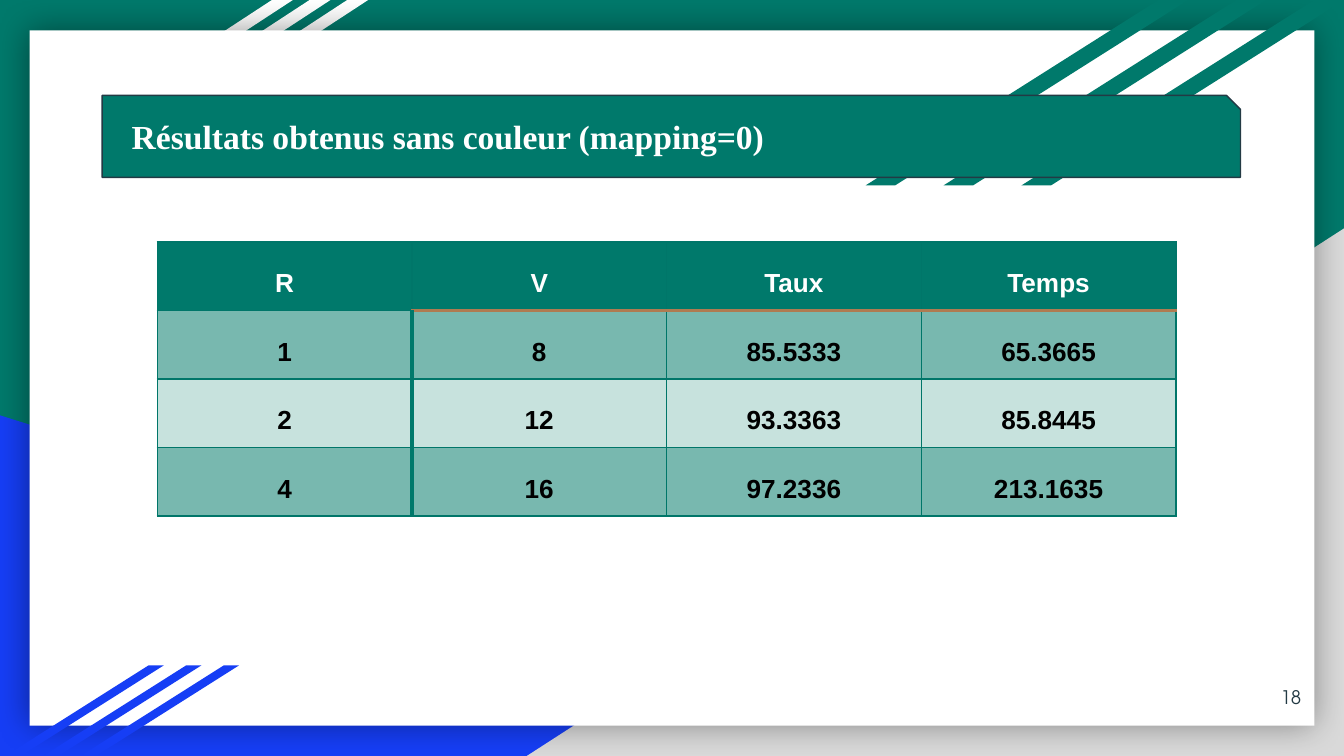
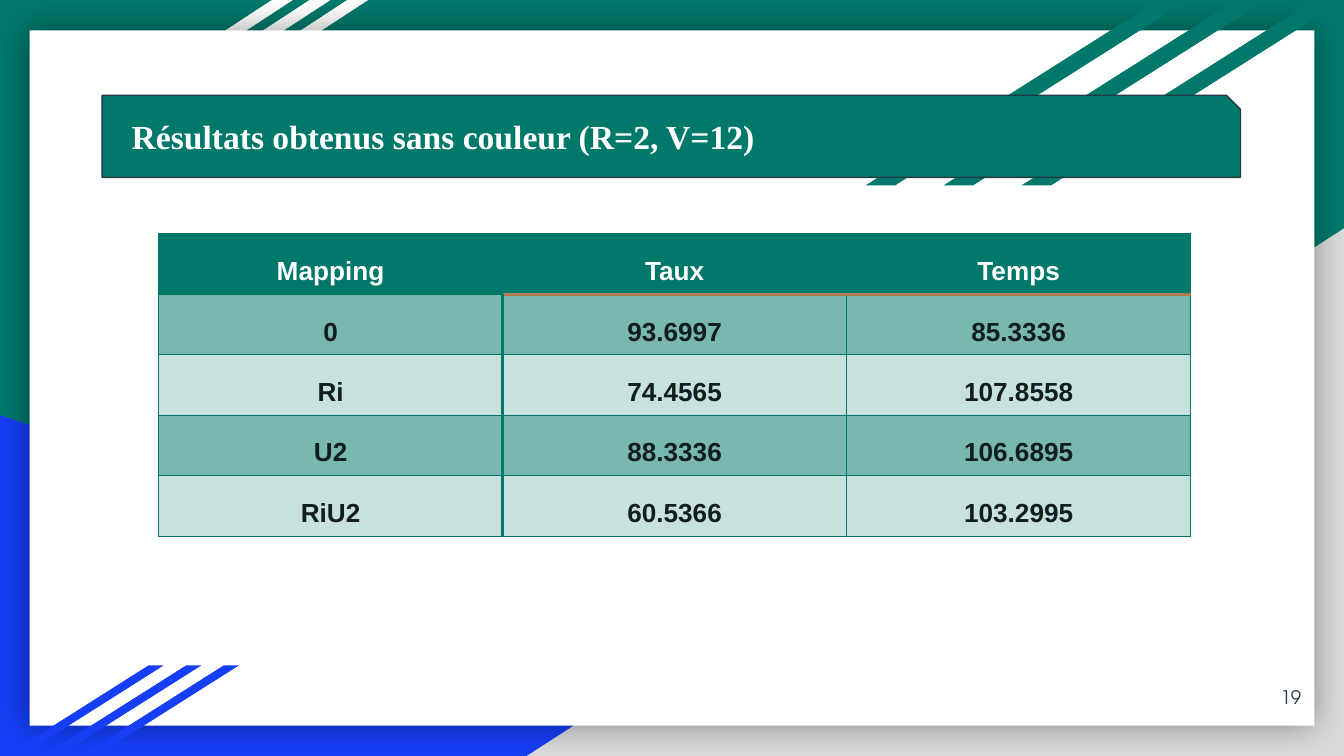
"""Two result slides with a striped frame, a title band and a formatted table."""
from dataclasses import dataclass

from lxml import etree
from pptx import Presentation
from pptx.dml.color import RGBColor
from pptx.enum.shapes import MSO_SHAPE
from pptx.enum.text import MSO_ANCHOR, MSO_AUTO_SIZE, PP_ALIGN
from pptx.oxml.ns import qn
from pptx.util import Inches, Pt

RECTANGLE = MSO_SHAPE.RECTANGLE
TRIANGLE = MSO_SHAPE.RIGHT_TRIANGLE
STRIPE = MSO_SHAPE.PARALLELOGRAM
SNIPPED = MSO_SHAPE.SNIP_1_RECTANGLE
MIDDLE = MSO_ANCHOR.MIDDLE
NO_FIT = MSO_AUTO_SIZE.NONE
LEFT, CENTER, RIGHT = PP_ALIGN.LEFT, PP_ALIGN.CENTER, PP_ALIGN.RIGHT
TITLE_ONLY = 5
GRID_COLUMNS = 100


@dataclass(frozen=True)
class Theme:
    green: str = "00796B"
    blue: str = "163EF5"
    grey: str = "D9D9D9"
    white: str = "FFFFFF"
    ink: str = "233A44"
    shadow: str = "000000"
    border: str = "007669"
    accent: str = "AF7B51"
    dark_row: str = "78B8AF"
    light_row: str = "C7E2DD"
    title_font: str = "Times New Roman"
    table_font: str = "Arial"
    number_font: str = "TeX Gyre Adventor"
    title_size: float = 18
    table_size: float = 14
    number_size: float = 10
    thin: float = 0.75
    thick: float = 2


def apply(target, values):
    """Set each attribute of the target from a dict."""
    for attribute, value in values.items():
        setattr(target, attribute, value)


class Deck:
    """Holds the theme, the grid and the current slide."""

    def __init__(self, theme):
        self.theme = theme
        self.deck = Presentation()
        self.deck.slide_width = Inches(10)
        self.deck.slide_height = Inches(5.625)
        self.layout = self.deck.slide_layouts[TITLE_ONLY]
        self.slide = None

    def grid(self, *lengths):
        """Turn grid units, one hundredth of the slide width each, into lengths."""
        return [round(n * self.deck.slide_width / GRID_COLUMNS) for n in lengths]

    def new_slide(self):
        self.slide = self.deck.slides.add_slide(self.layout)

    def shape(self, kind, box, fill, adjust=None, line=None):
        figure = self.slide.shapes.add_shape(kind, *self.grid(*box))
        figure.shadow.inherit = False
        figure.fill.solid()
        figure.fill.fore_color.rgb = RGBColor.from_string(fill)
        if line:
            figure.line.color.rgb = RGBColor.from_string(line)
            figure.line.width = Pt(self.theme.thin)
        else:
            figure.line.fill.background()
        if adjust:
            figure.adjustments[0] = adjust
        return figure

    def stripes(self, box, step, fill, adjust):
        left, *rest = box
        return [self.shape(STRIPE, (left - i * step, *rest), fill, adjust)
                for i in range(3)]

    def sheet(self, box):
        page = self.shape(RECTANGLE, box, self.theme.white)
        effects = page.element.spPr.find(qn("a:effectLst"))
        glow = etree.SubElement(effects, qn("a:outerShdw"),
                                blurRad=str(Pt(18)), dist="0", algn="ctr")
        color = etree.SubElement(glow, qn("a:srgbClr"), val=self.theme.shadow)
        etree.SubElement(color, qn("a:alpha"), val="40000")
        return page

    def decorate_layout(self):
        """Draw the shared frame and hand it to the layout."""
        theme = self.theme
        for spare in list(self.layout.placeholders)[1:]:
            self.layout.shapes.element.remove(spare.element)
        background = self.layout.background.fill
        background.solid()
        background.fore_color.rgb = RGBColor.from_string(theme.green)
        blue_corner = self.shape(TRIANGLE, (0, 30.9, 80.6, 25.35), theme.blue)
        grey_corner = self.shape(TRIANGLE, (39.2, 17, 60.8, 39.25), theme.grey)
        grey_corner.element.spPr.xfrm.set("flipH", "1")
        frame = [
            blue_corner,
            grey_corner,
            *self.stripes((8.4, 0, 19, 11.4), 2.8, theme.white, 1.53),
            self.sheet((2.2, 2.25, 95.6, 51.75)),
            *self.stripes((6, 49.5, 11.8, 6.75), 2.8, theme.blue, 1.58),
            *self.stripes((76, 0, 24, 13.8), 5.8, theme.green, 1.58),
            self.shape(SNIPPED, (7.6, 7.1, 84.7, 6.1), theme.green, 0.17, theme.ink),
        ]
        for part in frame:
            self.layout.shapes.element.append(part.element)

    def text(self, frame, words, margins, align, font, size, color, bold=False):
        left, top, right, bottom = self.grid(*margins)
        apply(frame, {"word_wrap": True, "auto_size": NO_FIT,
                      "vertical_anchor": MIDDLE, "margin_left": left,
                      "margin_top": top, "margin_right": right,
                      "margin_bottom": bottom})
        self.paragraph(frame, words, align, font, size, color, bold)

    def paragraph(self, frame, words, align, font, size, color, bold):
        line = frame.paragraphs[0]
        line.alignment = align
        run = line.add_run()
        run.text = words
        apply(run.font, {"name": font, "size": Pt(size), "bold": bold})
        run.font.color.rgb = RGBColor.from_string(color)
        return line

    def title(self, words):
        theme = self.theme
        heading = self.slide.shapes.title
        left, top, width, height = self.grid(7.6, 7.1, 84.7, 6.1)
        apply(heading, {"left": left, "top": top, "width": width, "height": height})
        self.text(heading.text_frame, words, (2.2, 1, 1, 1), LEFT,
                  theme.title_font, theme.title_size, theme.white, True)

    def page_number(self, number):
        theme = self.theme
        corner = self.slide.shapes.add_textbox(*self.grid(91.8, 49.7, 6, 4.3))
        self.text(corner.text_frame, str(number), (1, 1, 1, 1), RIGHT,
                  theme.number_font, theme.number_size, theme.ink)

    def borders(self, cell, row, column):
        """Edge the cell, with an accent under the header and a strong first divider."""
        theme = self.theme
        thin = (theme.border, theme.thin)
        accent = (theme.accent, theme.thick)
        divider = (theme.green, theme.thick)
        edges = {
            "a:lnL": divider if row and column == 1 else thin,
            "a:lnR": divider if row and column == 0 else thin,
            "a:lnT": accent if row == 1 and column else thin,
            "a:lnB": accent if row == 0 and column else thin,
        }
        properties = cell._tc.get_or_add_tcPr()
        for position, (tag, (color, width)) in enumerate(edges.items()):
            edge = etree.Element(qn(tag), w=str(Pt(width)))
            paint = etree.SubElement(edge, qn("a:solidFill"))
            etree.SubElement(paint, qn("a:srgbClr"), val=color)
            properties.insert(position, edge)

    def table(self, box, rows, body_color):
        theme = self.theme
        results = self.slide.shapes.add_table(
            len(rows), len(rows[0]), *self.grid(*box)).table
        results.horz_banding = False
        side = self.grid(0.7)[0]
        for r, values in enumerate(rows):
            fill = (theme.dark_row if r % 2 else theme.light_row) if r else theme.green
            for c, value in enumerate(values):
                cell = results.cell(r, c)
                apply(cell, {"vertical_anchor": MIDDLE, "margin_left": side,
                             "margin_right": side, "margin_top": 0,
                             "margin_bottom": 0})
                cell.fill.solid()
                cell.fill.fore_color.rgb = RGBColor.from_string(fill)
                line = self.paragraph(cell.text_frame, value, CENTER,
                                      theme.table_font, theme.table_size,
                                      body_color if r else theme.white, True)
                apply(line, {"line_spacing": 1.5, "space_before": Pt(6),
                             "space_after": Pt(6)})
                self.borders(cell, r, c)


RESULTS = [
    {
        "number": 18,
        "title": "Résultats obtenus sans couleur (mapping=0)",
        "box": (11.7, 18, 75.8, 20.4),
        "body_color": "000000",
        "rows": [
            ("R", "V", "Taux", "Temps"),
            ("1", "8", "85.5333", "65.3665"),
            ("2", "12", "93.3363", "85.8445"),
            ("4", "16", "97.2336", "213.1635"),
        ],
    },
    {
        "number": 19,
        "title": "Résultats obtenus sans couleur (R=2, V=12)",
        "box": (11.8, 17.4, 76.8, 22.5),
        "body_color": "121D22",
        "rows": [
            ("Mapping", "Taux", "Temps"),
            ("0", "93.6997", "85.3336"),
            ("Ri", "74.4565", "107.8558"),
            ("U2", "88.3336", "106.6895"),
            ("RiU2", "60.5366", "103.2995"),
        ],
    },
]


def main():
    show = Deck(Theme())
    for index, result in enumerate(RESULTS):
        show.new_slide()
        if index == 0:
            show.decorate_layout()
        show.title(result["title"])
        show.page_number(result["number"])
        show.table(result["box"], result["rows"], result["body_color"])
    show.deck.save("out.pptx")


if __name__ == "__main__":
    main()
